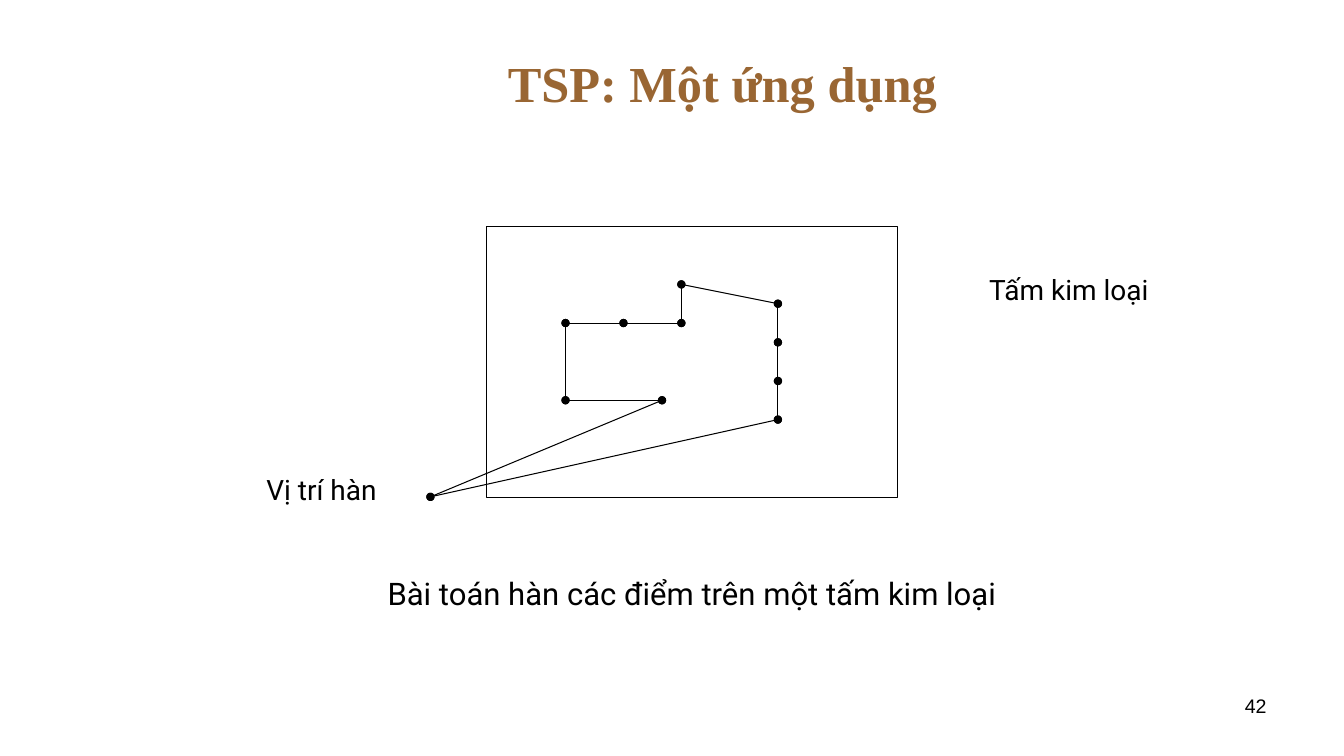
from pptx import Presentation
from pptx import util as u
from pptx.dml.color import RGBColor
from pptx.enum import shapes, text
from pptx.oxml.ns import qn
from lxml import etree

BLACK = RGBColor(0x00, 0x00, 0x00)
WHITE = RGBColor(0xFF, 0xFF, 0xFF)
BROWN = RGBColor(0x99, 0x66, 0x33)

# Weld points in grid steps right of and above the start point, in tour order
START_LEFT, START_TOP = 10.85, 12.52
STEP = 8.76 / 18
WELDS = [(0, 0), (18, 4), (18, 6), (18, 8), (18, 10), (13, 11),
         (13, 9), (10, 9), (7, 9), (7, 5), (12, 5)]


def add_label(page, words, left, top, width, height, *, size, font="Roboto",
              color=BLACK, bold=False, align=text.PP_ALIGN.CENTER,
              anchor=text.MSO_ANCHOR.TOP, spacing=1.0, fill=None):
    box = page.shapes.add_textbox(u.Cm(left), u.Cm(top), u.Cm(width), u.Cm(height))
    if fill is not None:
        box.fill.solid()
        box.fill.fore_color.rgb = fill
    frame = box.text_frame
    frame.word_wrap = True
    frame.vertical_anchor = anchor
    para = frame.paragraphs[0]
    para.alignment = align
    para.line_spacing = spacing
    span = para.add_run()
    span.text = words
    span.font.name = font
    span.font.size = u.Pt(size)
    span.font.bold = bold
    span.font.color.rgb = color


def add_plate(page, left, top, width, height):
    plate = page.shapes.add_shape(shapes.MSO_SHAPE.RECTANGLE, u.Cm(left), u.Cm(top),
                                  u.Cm(width), u.Cm(height))
    plate.shadow.inherit = False
    plate.fill.solid()
    plate.fill.fore_color.rgb = WHITE
    plate.line.color.rgb = BLACK
    plate.line.width = u.Pt(0.75)


def weld_position(weld):
    right, up = weld
    return u.Cm(START_LEFT + right * STEP), u.Cm(START_TOP - up * STEP)


def add_leg(page, start, end):
    leg = page.shapes.add_connector(shapes.MSO_CONNECTOR.STRAIGHT,
                                    *weld_position(start), *weld_position(end))
    leg.line.color.rgb = BLACK
    leg.line.width = u.Pt(0.75)
    outline = leg.line._get_or_add_ln()
    for tag in ("a:headEnd", "a:tailEnd"):
        etree.SubElement(outline, qn(tag), type="oval", w="med", len="med")
    etree.SubElement(leg._element.spPr, qn("a:effectLst"))


def main():
    deck = Presentation()
    deck.slide_width, deck.slide_height = u.Cm(33.88), u.Cm(19.05)
    page = deck.slides.add_slide(deck.slide_layouts[6])

    # Title
    add_label(page, "TSP: Một ứng dụng", 4.24, 0.76, 27.94, 2.62, size=36,
              font="Times New Roman", color=BROWN, bold=True,
              anchor=text.MSO_ANCHOR.MIDDLE)

    # Metal plate and closed welding tour
    add_plate(page, 12.27, 5.72, 10.36, 6.81)
    for start, end in zip(WELDS, WELDS[1:] + WELDS[:1]):
        add_leg(page, start, end)

    # Labels and caption
    add_label(page, "Vị trí hàn", 6.15, 11.79, 3.91, 1.45, size=20, fill=WHITE)
    add_label(page, "Tấm kim loại", 24.28, 6.73, 5.33, 1.45, size=20, fill=WHITE)
    add_label(page, "Bài toán hàn các điểm trên một tấm kim loại",
              8.43, 14.45, 18.03, 1.96, size=22.2, spacing=0.9, fill=WHITE)

    # Page number
    add_label(page, "42", 24.28, 17.35, 7.9, 1.32, size=14, font="Arial",
              align=text.PP_ALIGN.RIGHT)

    deck.save("out.pptx")


if __name__ == "__main__":
    main()
